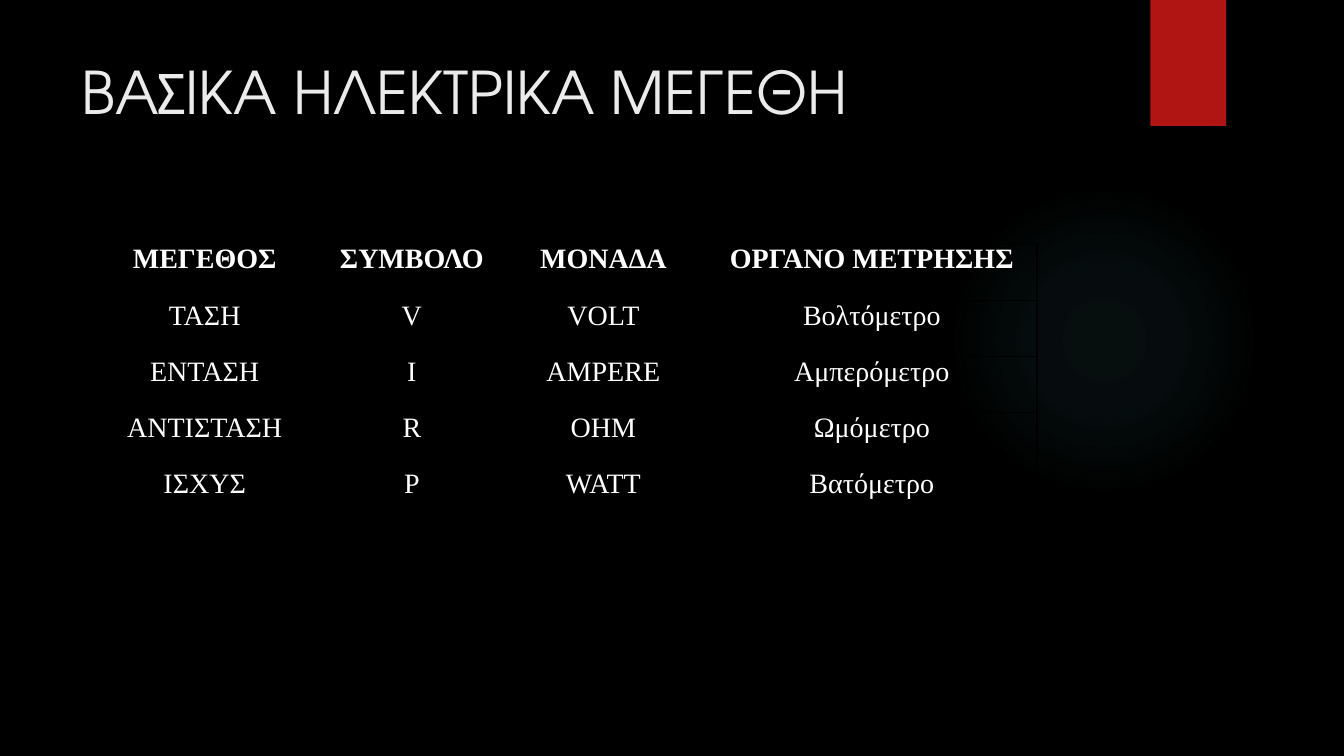
"""Build a slide with a table of the basic electrical quantities."""
from pptx import Presentation
from pptx.dml.color import RGBColor
from pptx.enum.shapes import MSO_SHAPE as Shape
from pptx.enum.text import MSO_ANCHOR as Anchor, PP_ALIGN as Align
from pptx.oxml import parse_xml
from pptx.oxml.ns import nsdecls, qn
from pptx.util import Pt

TITLE = "ΒΑΣΙΚΑ ΗΛΕΚΤΡΙΚΑ ΜΕΓΕΘΗ"
ROWS = [
    ("ΜΕΓΕΘΟΣ", "ΣΥΜΒΟΛΟ", "ΜΟΝΑΔΑ", "ΟΡΓΑΝΟ ΜΕΤΡΗΣΗΣ"),
    ("ΤΑΣΗ", "V", "VOLT", "Βολτόμετρο"),
    ("ΕΝΤΑΣΗ", "I", "AMPERE", "Αμπερόμετρο"),
    ("ΑΝΤΙΣΤΑΣΗ", "R", "OHM", "Ωμόμετρο"),
    ("ΙΣΧΥΣ", "P", "WATT", "Βατόμετρο"),
]
COLUMN_WIDTHS = (170, 126, 147.6, 236)
ROW_HEIGHT = 40.2
GLOW_STOPS = ((0, 7), (36, 6), (69, 0))

BLACK = RGBColor(0x00, 0x00, 0x00)
WHITE = RGBColor(0xFF, 0xFF, 0xFF)
PALE_GREY = RGBColor(0xEB, 0xEB, 0xEB)
RED = RGBColor(0xB0, 0x15, 0x13)
TEAL = RGBColor(0x50, 0xB9, 0xC1)


def add_plain_shape(page, kind, left, top, width, height):
    """Add a preset shape without outline or shadow."""
    shape = page.shapes.add_shape(kind, Pt(left), Pt(top), Pt(width), Pt(height))
    shape.shadow.inherit = False
    shape.line.fill.background()
    return shape


def apply_glow(shape):
    """Fill a shape with a radial gradient that fades out."""
    stops = "".join(
        f'<a:gs pos="{position * 1000}"><a:srgbClr val="{TEAL}">'
        f'<a:alpha val="{alpha * 1000}"/></a:srgbClr></a:gs>'
        for position, alpha in GLOW_STOPS
    )
    gradient = parse_xml(
        f'<a:gradFill {nsdecls("a")} rotWithShape="1"><a:gsLst>{stops}</a:gsLst>'
        '<a:path path="circle"><a:fillToRect l="50000" t="50000" r="50000" b="50000"/>'
        "</a:path></a:gradFill>"
    )
    shape.fill.background()
    properties = shape.element.spPr
    properties.replace(properties.find(qn("a:noFill")), gradient)


def add_text(para, text, font, size, color, bold=False):
    """Add one formatted run to a paragraph."""
    span = para.add_run()
    span.text = text
    span.font.name = font
    span.font.size = Pt(size)
    span.font.bold = bold
    span.font.color.rgb = color


def fill_cell(cell, text, bold):
    """Write a centred cell with black borders and no fill."""
    cell.margin_left = cell.margin_right = Pt(5)
    cell.margin_top = cell.margin_bottom = 0
    cell.vertical_anchor = Anchor.TOP
    properties = cell._tc.get_or_add_tcPr()
    for side in ("lnL", "lnR", "lnT", "lnB"):
        properties.append(parse_xml(
            f'<a:{side} {nsdecls("a")} w="{Pt(1)}"><a:solidFill>'
            f'<a:srgbClr val="{BLACK}"/></a:solidFill></a:{side}>'
        ))
    cell.fill.background()
    para = cell.text_frame.paragraphs[0]
    para.alignment = Align.CENTER
    add_text(para, text, "Times New Roman", 20, WHITE, bold)


def add_quantity_table(page):
    """Add the table of quantities, symbols, units and instruments."""
    frame = page.shapes.add_table(
        len(ROWS), len(COLUMN_WIDTHS), Pt(61.2), Pt(174.2),
        Pt(sum(COLUMN_WIDTHS)), Pt(ROW_HEIGHT * len(ROWS)),
    )
    table = frame.table
    table.first_row = table.horz_banding = False
    for column, width in zip(table.columns, COLUMN_WIDTHS):
        column.width = Pt(width)
    for index, (row, texts) in enumerate(zip(table.rows, ROWS)):
        row.height = Pt(ROW_HEIGHT)
        for cell, text in zip(row.cells, texts):
            fill_cell(cell, text, bold=index == 0)


def main():
    """Build and save the deck."""
    deck = Presentation()
    deck.slide_width, deck.slide_height = Pt(960), Pt(540)
    page = deck.slides.add_slide(deck.slide_layouts[5])
    page.background.fill.solid()
    page.background.fill.fore_color.rgb = BLACK

    glow = add_plain_shape(page, Shape.OVAL, 677.5, 131.8, 221.8, 221.8)
    apply_glow(glow)
    ribbon = add_plain_shape(page, Shape.RECTANGLE, 821.8, 0, 54, 90)
    ribbon.fill.solid()
    ribbon.fill.fore_color.rgb = RED

    title = page.shapes.title
    title.left, title.top, title.width, title.height = Pt(51), Pt(36), Pt(741), Pt(110)
    ribbon.element.addnext(title.element)
    box = title.text_frame
    box.word_wrap = True
    box.vertical_anchor = Anchor.TOP
    para = box.paragraphs[0]
    para.alignment = Align.LEFT
    add_text(para, TITLE, "TeX Gyre Adventor", 42, PALE_GREY)

    add_quantity_table(page)
    deck.save("out.pptx")


if __name__ == "__main__":
    main()
